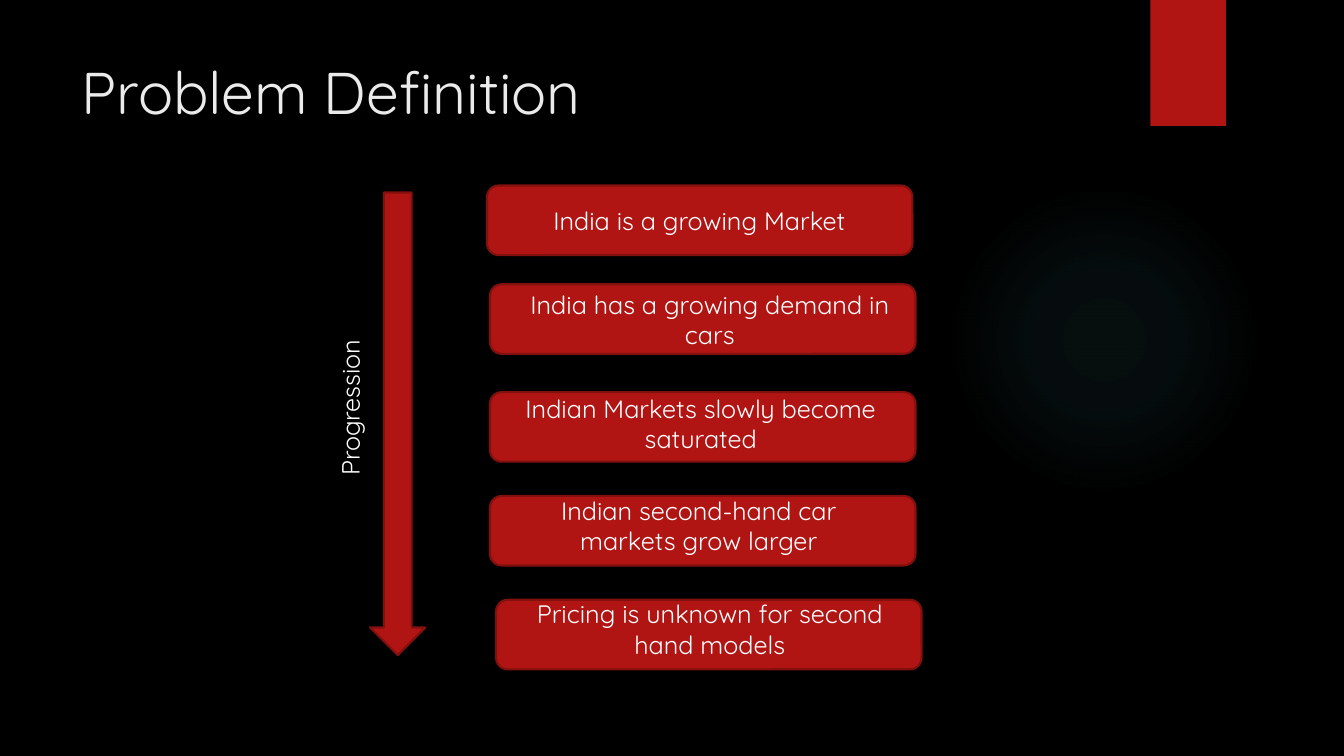
from pptx import Presentation
from pptx.dml.color import RGBColor
from pptx.enum.shapes import MSO_SHAPE
from pptx.enum.text import MSO_ANCHOR, PP_ALIGN
from pptx.oxml import parse_xml
from pptx.oxml.ns import nsdecls
from pptx.util import Inches, Pt

RECT = MSO_SHAPE.RECTANGLE
ROUND = MSO_SHAPE.ROUNDED_RECTANGLE
ARROW = MSO_SHAPE.DOWN_ARROW
OVAL = MSO_SHAPE.OVAL
TOP = MSO_ANCHOR.TOP
LEFT, CENTER = PP_ALIGN.LEFT, PP_ALIGN.CENTER

FONT = "Quicksand"
COLORS = {
    "back": "000000",
    "red": "B01513",
    "edge": "82100E",
    "title": "EBEBEB",
    "text": "FFFFFF",
    "glow": "50B9C1",
}
GLOW_STOPS = [(0, 7), (36, 6), (69, 0)]  # position and opacity in percent

BOX_SIZE = (4.22, 0.69)
LABEL_SIZE = (3.8, 0.71)
# text, box left and top, label left and top, alignment
STEPS = [
    ("India is a growing Market", (4.83, 1.84), (5.39, 1.99), LEFT),
    ("India has a growing demand in cars", (4.86, 2.82), (5.14, 2.82), CENTER),
    ("Indian Markets slowly become saturated", (4.86, 3.89), (5.05, 3.85), CENTER),
    ("Indian second-hand car markets grow larger", (4.86, 4.92), (5.03, 4.86), CENTER),
    ("Pricing is unknown for second hand models", (4.92, 5.95), (5.14, 5.89), CENTER),
]


def color(name):
    return RGBColor.from_string(COLORS[name])


def set_text(frame, text, size, tint, align=LEFT):
    frame.text = text
    frame.word_wrap = True
    frame.vertical_anchor = TOP
    para = frame.paragraphs[0]
    para.alignment = align
    font = para.runs[0].font
    font.name = FONT
    font.size = Pt(size)
    font.color.rgb = color(tint)


def add_red(slide, kind, spot, size, edge=True):
    shape = slide.shapes.add_shape(kind, *map(Inches, spot + size))
    shape.shadow.inherit = False
    shape.fill.solid()
    shape.fill.fore_color.rgb = color("red")
    if edge:
        shape.line.color.rgb = color("edge")
        shape.line.width = Pt(1.5)
    else:
        shape.line.fill.background()


def add_label(slide, text, spot, size, align=LEFT, turn=0):
    box = slide.shapes.add_textbox(*map(Inches, spot + size))
    box.rotation = turn
    set_text(box.text_frame, text, 18, "text", align)


def add_glow(slide):
    """Draw a faint radial light that fades to transparent."""
    glow = slide.shapes.add_shape(
        OVAL, Inches(9.41), Inches(1.83), Inches(3.08), Inches(3.08))
    glow.shadow.inherit = False
    glow.line.fill.background()
    stops = "".join(
        f'<a:gs pos="{pos * 1000}"><a:srgbClr val="{COLORS["glow"]}">'
        f'<a:alpha val="{alpha * 1000}"/></a:srgbClr></a:gs>'
        for pos, alpha in GLOW_STOPS)
    fill = parse_xml(
        f'<a:gradFill {nsdecls("a")}><a:gsLst>{stops}</a:gsLst>'
        '<a:path path="circle"><a:fillToRect l="50000" t="50000" '
        'r="50000" b="50000"/></a:path></a:gradFill>')
    glow.element.spPr.find(".//{*}prstGeom").addnext(fill)


def set_title(slide, text):
    title = slide.shapes.title
    title.left, title.top = Inches(0.71), Inches(0.5)
    title.width, title.height = Inches(10.29), Inches(1.53)
    set_text(title.text_frame, text, 42, "title")


def main():
    deck = Presentation()
    deck.slide_width, deck.slide_height = Inches(13.33), Inches(7.5)
    slide = deck.slides.add_slide(deck.slide_layouts[5])
    slide.background.fill.solid()
    slide.background.fill.fore_color.rgb = color("back")

    add_glow(slide)
    add_red(slide, RECT, (11.41, 0), (0.75, 1.25), edge=False)
    set_title(slide, "Problem Definition")

    for text, box, label, align in STEPS:
        add_red(slide, ROUND, box, BOX_SIZE)
        add_label(slide, text, label, LABEL_SIZE, align)

    add_red(slide, ARROW, (3.67, 1.91), (0.55, 4.59))
    add_label(slide, "Progression", (2.5, 3.65), (1.94, 0.4), turn=270)
    deck.save("out.pptx")


if __name__ == "__main__":
    main()
